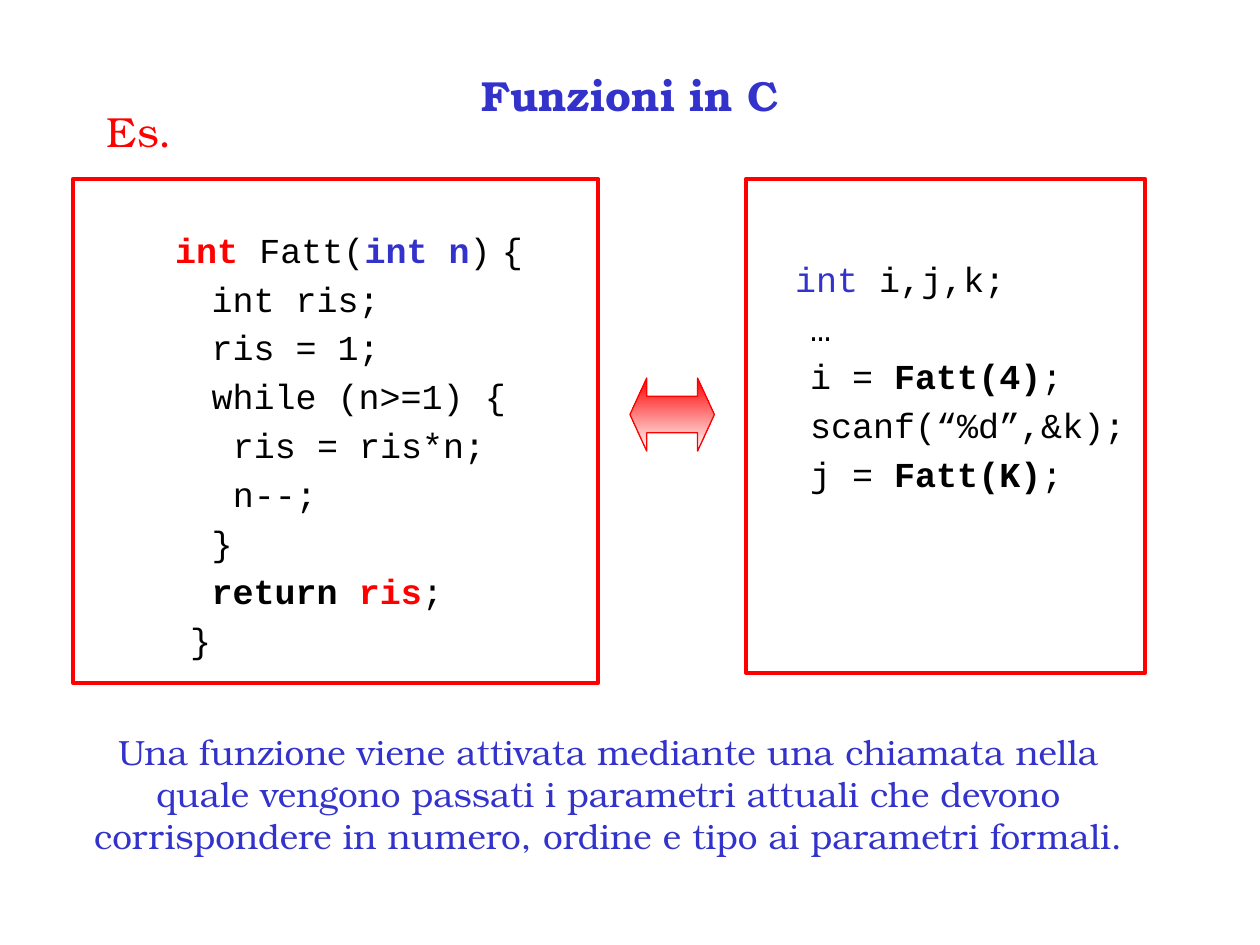
from pptx import Presentation
from pptx import util as u
from pptx.dml.color import RGBColor
from pptx.enum import shapes, text

COLORS = {"red": "FF0000", "blue": "3333CC", "black": "000000", "white": "FFFFFF"}
SERIF, MONO = "TeX Gyre Bonum", "Courier New"
CODE_STEP = 0.17  # width of one code character, inches

# Each line: indent in characters, then runs of (text, colour, bold[, font])
DEFINITION = [
    (0, [("int ", "red", True), ("Fatt(", "black", False), ("int n", "blue", True),
         (")", "black", False), (" ", "black", False, SERIF), ("{", "black", False)]),
    (1.7, [("int ris;", "black", False)]),
    (1.7, [("ris = 1;", "black", False)]),
    (1.7, [("while (n>=1) {", "black", False)]),
    (2.7, [("ris = ris*n;", "black", False)]),
    (2.7, [("n--;", "black", False)]),
    (1.7, [("}", "black", False)]),
    (1.7, [("return ", "black", True), ("ris", "red", True), (";", "black", False)]),
    (0.7, [("}", "black", False)]),
]
CALLS = [
    (0, [("int ", "blue", False), ("i,j,k;", "black", False)]),
    (0.7, [("…", "black", False)]),
    (0.7, [("i = ", "black", False), ("Fatt(4)", "black", True), (";", "black", False)]),
    (0.7, [("scanf(“%d”,&k);", "black", False)]),
    (0.7, [("j = ", "black", False), ("Fatt(K)", "black", True), (";", "black", False)]),
]


def rgb(name):
    return RGBColor.from_string(COLORS[name])


def inches(*box):
    return [u.Inches(v) for v in box]


def style(r, size, color, bold=False, font=SERIF):
    r.font.size, r.font.name, r.font.bold = u.Pt(size), font, bold
    r.font.color.rgb = rgb(color)


def add_label(s, box, words, size, color, bold=False, align=text.PP_ALIGN.LEFT,
              anchor=text.MSO_ANCHOR.TOP, spacing=1.0):
    tf = s.shapes.add_textbox(*inches(*box)).text_frame
    tf.word_wrap = True
    tf.vertical_anchor = anchor
    p = tf.paragraphs[0]
    p.text, p.alignment, p.line_spacing = words, align, spacing
    style(p.runs[0], size, color, bold)


def add_code_panel(s, box, lines, dx, dy):
    """Framed code listing whose text starts dx, dy inside the frame."""
    left, top, width, height = box
    frame = s.shapes.add_shape(shapes.MSO_SHAPE.RECTANGLE, *inches(*box))
    frame.shadow.inherit = False
    frame.fill.background()
    frame.line.color.rgb = rgb("red")
    frame.line.width = u.Pt(2.25)

    tf = s.shapes.add_textbox(
        *inches(left + dx, top + dy, width - dx, height - dy)).text_frame
    tf.word_wrap = True
    tf.margin_left = tf.margin_right = tf.margin_top = tf.margin_bottom = 0
    for i, (indent, runs) in enumerate(lines):
        p = tf.add_paragraph() if i else tf.paragraphs[0]
        p.line_spacing = 0.9
        p.space_before = u.Pt(6.3 if i else 0)
        p._p.get_or_add_pPr().set("marL", str(u.Inches(indent * CODE_STEP)))
        for words, color, bold, *font in runs:
            r = p.add_run()
            r.text = words
            style(r, 20, color, bold, *(font or [MONO]))


def add_double_arrow(s, box):
    sp = s.shapes.add_shape(shapes.MSO_SHAPE.LEFT_RIGHT_ARROW, *inches(*box))
    sp.shadow.inherit = False
    sp.adjustments[0], sp.adjustments[1] = 0.5, 0.23
    sp.fill.gradient()
    sp.fill.gradient_angle = 270
    for stop, color, position in zip(sp.fill.gradient_stops, ("red", "white"), (0, 1)):
        stop.color.rgb = rgb(color)
        stop.position = position
    sp.line.color.rgb = rgb("red")
    sp.line.width = u.Pt(0.75)


def main():
    prs = Presentation()
    prs.slide_width, prs.slide_height = inches(10, 7.5)
    s = prs.slides.add_slide(prs.slide_layouts[6])
    center = text.PP_ALIGN.CENTER
    add_label(s, (0.75, 0.42, 8.5, 0.67), "Funzioni in C", 24, "blue", True,
              center, text.MSO_ANCHOR.MIDDLE)
    add_label(s, (0.75, 0.83, 3.92, 0.5), "Es.", 24, "red", spacing=0.9)
    add_code_panel(s, (0.58, 1.42, 4.17, 4), DEFINITION, 0.81, 0.43)
    add_code_panel(s, (5.92, 1.42, 3.17, 3.92), CALLS, 0.39, 0.66)
    add_double_arrow(s, (5, 3, 0.67, 0.58))
    add_label(s, (0.58, 5.75, 8.5, 1.1),
              "Una funzione viene attivata mediante una chiamata nella quale vengono "
              "passati i parametri attuali che devono corrispondere in numero, ordine "
              "e tipo ai parametri formali.", 20, "blue", align=center)
    prs.save("out.pptx")


if __name__ == "__main__":
    main()
